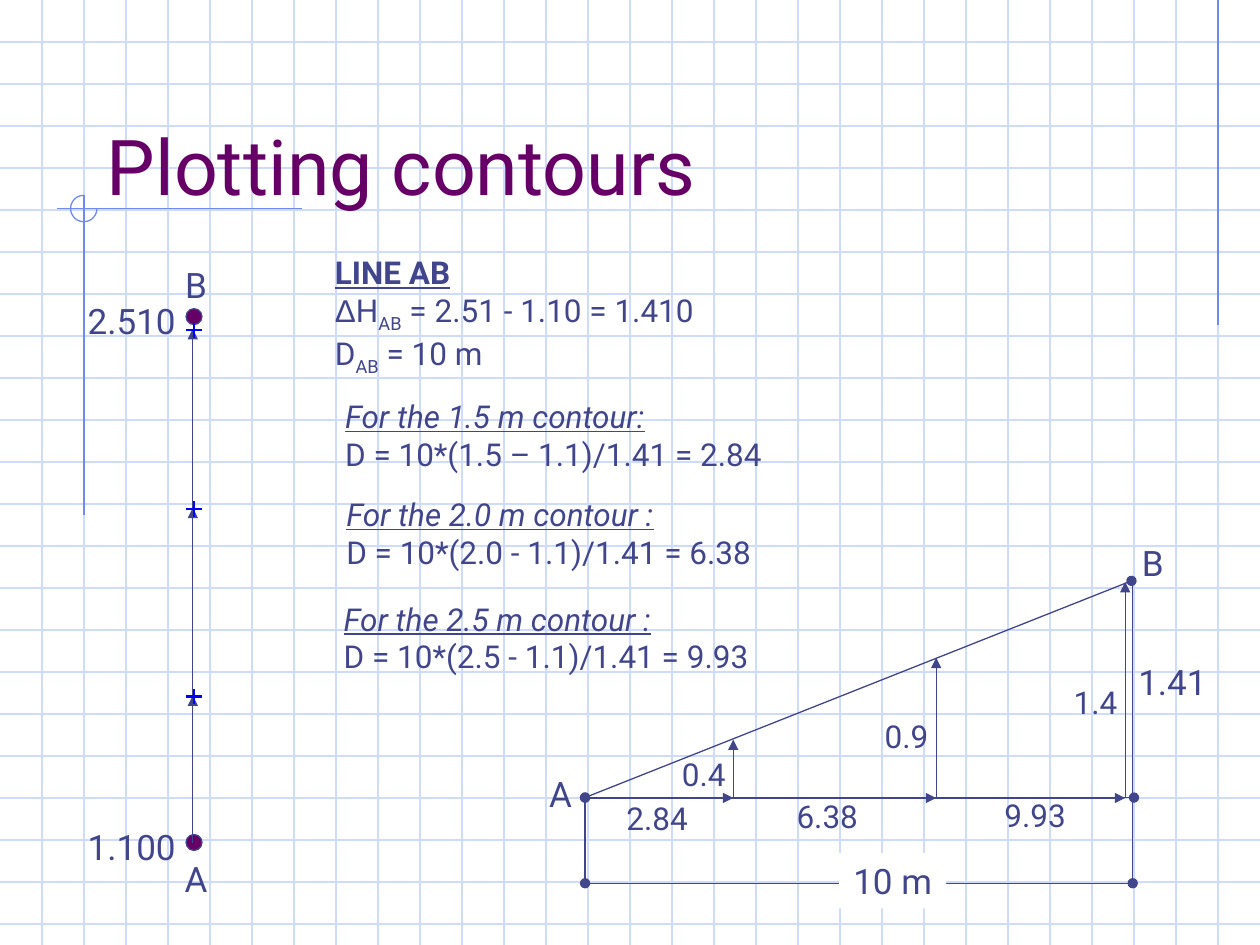
from pptx import Presentation
from pptx.dml.color import RGBColor
from pptx.enum.shapes import MSO_CONNECTOR, MSO_SHAPE
from pptx.enum.text import MSO_ANCHOR, PP_ALIGN
from pptx.oxml.ns import qn
from pptx.util import Inches, Pt
from lxml import etree

LINE = MSO_CONNECTOR.STRAIGHT
OVAL, RECT, ARC = MSO_SHAPE.OVAL, MSO_SHAPE.RECTANGLE, MSO_SHAPE.ARC
TOP, MIDDLE = MSO_ANCHOR.TOP, MSO_ANCHOR.MIDDLE
LEFT, CENTER = PP_ALIGN.LEFT, PP_ALIGN.CENTER

COLORS = {"grid": "CFDBFD", "accent": "6F89F7", "title": "660066",
          "ink": "40458C", "tick": "0000FF", "paper": "FFFFFF"}

# The squared paper is the grid: every length counts its columns and rows
COLS, ROWS = 30, 22.5
CELL = Inches(10) / COLS

STATION_X, STATION_A = 4.59, 20.07      # vertical line A-B
BASE_X, BASE_Y = 13.93, 18.99           # corner A of the triangle
END_X, DIM_Y = 26.97, 21.03

HEAD = {"i": True, "u": True}
SUB = {"base": "-25000"}

# tick row, plumb column, plumb top, height, distance, distance label, note
CONTOURS = [
    (7.86, 26.79, 13.86, "1.4", "9.93", (23.61, 18.81), (7.89, 14.13, 10.5),
     "For the 2.5 m contour :", "D = 10*(2.5 - 1.1)/1.41 = 9.93"),
    (12.12, 22.29, 15.66, "0.9", "6.38", (18.66, 18.84), (7.95, 11.64, 10.5),
     "For the 2.0 m contour :", "D = 10*(2.0 - 1.1)/1.41 = 6.38"),
    (16.59, 17.46, 17.61, "0.4", "2.84", (14.61, 18.87), (7.92, 9.3, 10.65),
     "For the 1.5 m contour:", "D = 10*(1.5 – 1.1)/1.41 = 2.84"),
]
HEIGHT_ROWS = (16.11, 16.92, 17.82)


def cells(*counts):
    return [round(n * CELL) for n in counts]


def rgb(name):
    return RGBColor.from_string(COLORS[name])


def add_line(s, x1, y1, x2, y2, color="ink", width=0.75, head=None, tail=None):
    c = s.shapes.add_connector(LINE, *cells(x1, y1, x2, y2))
    c.line.color.rgb = rgb(color)
    c.line.width = Pt(width)
    ln = c.line._get_or_add_ln()
    for tag, kind in (("a:headEnd", head), ("a:tailEnd", tail)):
        if kind:
            etree.SubElement(ln, qn(tag), type=kind)
    etree.SubElement(c._element.spPr, qn("a:effectLst"))


def add_shape(s, kind, x, y, w, h, fill=None, line=None):
    sp = s.shapes.add_shape(kind, *cells(x, y, w, h))
    sp.shadow.inherit = False
    if fill:
        sp.fill.solid()
        sp.fill.fore_color.rgb = rgb(fill)
    else:
        sp.fill.background()
    if line:
        sp.line.color.rgb = rgb(line)
        sp.line.width = Pt(0.75)
    else:
        sp.line.fill.background()
    return sp


def write(tf, paragraphs, size, color="ink", align=LEFT, anchor=TOP, wrap=False):
    """Fill a text frame; each paragraph is a list of (text, style) runs."""
    tf.word_wrap = wrap
    tf.vertical_anchor = anchor
    for i, runs in enumerate(paragraphs):
        p = tf.paragraphs[0] if i == 0 else tf.add_paragraph()
        p.alignment = align
        for text, style in runs:
            r = p.add_run()
            r.text = text
            r.font.size = Pt(size)
            r.font.name = style.get("font", "Roboto")
            r.font.color.rgb = rgb(color)
            r.font.bold = style.get("b", False)
            r.font.italic = style.get("i", False)
            r.font.underline = style.get("u", False)
            if "base" in style:
                r.font._element.set("baseline", style["base"])


def add_text(s, x, y, w, h, paragraphs, size=18, **options):
    sp = s.shapes.add_textbox(*cells(x, y, w, h))
    write(sp.text_frame, paragraphs, size, **options)


def add_label(s, x, y, w, text, size=20, anchor=TOP):
    h = 1.32 if size == 20 else 1.2
    add_text(s, x, y, w, h, [[(text, {})]], size, align=CENTER, anchor=anchor)


def add_paper(s):
    for row in range(1, int(ROWS) + 1):
        add_line(s, 0, row, COLS, row, "grid")
    for col in range(1, COLS):
        add_line(s, col, 0, col, ROWS, "grid")
    # Accent lines with the open circle at their crossing
    add_line(s, 29, 0, 29, 7.74, "accent")
    add_line(s, 7.2, 4.97, 1.35, 4.97, "accent")
    add_line(s, 2, 4.65, 2, 12.27, "accent")
    arc = add_shape(s, ARC, 1.68, 4.65, 0.63, 0.63, line="accent")
    arc.adjustments[0], arc.adjustments[1] = 0, 162   # 0 to 270 degrees


def add_station_line(s):
    for name, level, name_y, level_y, dot_y in (
            ("A", "1.100", 20.25, 19.5, 19.87), ("B", "2.510", 6.12, 6.96, 7.35)):
        add_shape(s, OVAL, 4.43, dot_y, 0.38, 0.38, "title", "ink")
        add_label(s, 1.77, level_y, 2.73, level, anchor=MIDDLE)
        add_label(s, 4.1, name_y, 1.14, name, anchor=MIDDLE)


def add_triangle(s):
    dots = {"head": "oval", "tail": "oval"}
    add_line(s, BASE_X, BASE_Y, 27, BASE_Y, **dots)
    add_line(s, BASE_X, DIM_Y, END_X, DIM_Y, **dots)
    add_line(s, BASE_X, BASE_Y, 26.94, 13.83, **dots)
    add_line(s, BASE_X, DIM_Y, BASE_X, BASE_Y)
    add_line(s, END_X, DIM_Y, END_X, 13.77)
    add_label(s, 12.78, 18.24, 1.14, "A")
    add_label(s, 26.88, 12.75, 1.14, "B")
    add_label(s, 26.79, 15.57, 2.25, "1.41")
    sp = add_shape(s, RECT, 19.98, 20.31, 2.55, 1.32, "paper")
    write(sp.text_frame, [[("10 m", {})]], 20, align=CENTER)


def add_contour(s, contour, height_row):
    tick, plumb, top, height, distance, distance_at, note_at, title, formula = contour
    # Step on the vertical line, ending in a cross
    add_line(s, STATION_X, STATION_A, STATION_X, tick - 0.03, tail="triangle")
    add_line(s, 4.62, tick - 0.18, 4.62, tick + 0.18, "tick", 1.5)
    add_line(s, 4.8, tick, 4.43, tick, "tick", 1.5)
    # Height and distance inside the triangle
    add_line(s, plumb, BASE_Y, plumb, top, tail="triangle")
    add_line(s, BASE_X, BASE_Y + 0.01, plumb, BASE_Y + 0.01, tail="triangle")
    add_label(s, plumb - 1.53, height_row, 1.65, height, 18)
    add_label(s, *distance_at, 2.07, distance, 18)
    x, y, w = note_at
    add_text(s, x, y, w, 2.1, [[(title, HEAD)], [(formula, {})]])


def main():
    prs = Presentation()
    prs.slide_width, prs.slide_height = cells(COLS, ROWS)
    s = prs.slides.add_slide(prs.slide_layouts[6])
    add_paper(s)
    # Title and line data
    add_text(s, 2.25, 2.04, 25.5, 3.75, [[("Plotting contours", {})]], 44,
             color="title", anchor=MIDDLE, wrap=True)
    add_text(s, 7.68, 5.88, 9.78, 3.24, [
        [("LINE AB", {"b": True, "u": True})],
        [("Δ", {"font": "Arial"}), ("H", {}), ("AB", SUB),
         (" = 2.51 - 1.10 = 1.410", {})],
        [("D", {}), ("AB", SUB), (" = 10 m", {})],
    ], anchor=MIDDLE, wrap=True)
    # Diagrams and contours
    add_station_line(s)
    add_triangle(s)
    for contour, height_row in zip(CONTOURS, HEIGHT_ROWS):
        add_contour(s, contour, height_row)
    prs.save("out.pptx")


if __name__ == "__main__":
    main()
